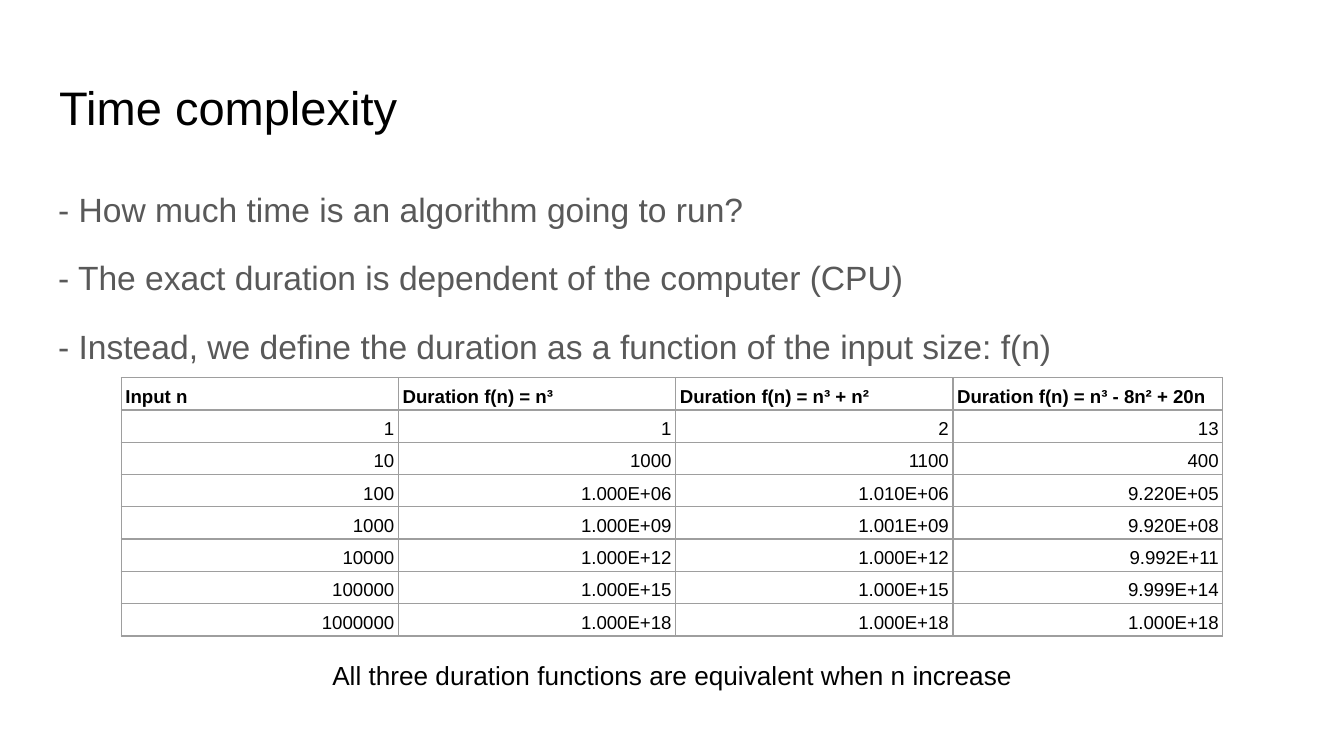
from lxml import etree
from pptx import Presentation
from pptx import util as u
from pptx.dml import color
from pptx.enum import text
from pptx.oxml import ns

COLOURS = {"ink": "000000", "body": "595959", "rule": "9E9E9E"}
FONT = "Arial"

POINTS = [
    "- How much time is an algorithm going to run?",
    "- The exact duration is dependent of the computer (CPU)",
    "- Instead, we define the duration as a function of the input size: f(n)",
]
HEADINGS = [
    "Input n",
    "Duration f(n) = n³",
    "Duration f(n) = n³ + n²",
    "Duration f(n) = n³ - 8n² + 20n",
]
DURATIONS = [
    lambda n: n**3,
    lambda n: n**3 + n**2,
    lambda n: n**3 - 8 * n**2 + 20 * n,
]
SIZES = [10**power for power in range(7)]


def write(para, words, size, colour="ink", bold=False, align=None, spacing=None, before=0):
    para.alignment = align
    para.line_spacing = spacing
    para.space_before = u.Pt(before)
    span = para.add_run()
    span.text = words
    span.font.name = FONT
    span.font.size = u.Pt(size)
    span.font.bold = bold
    span.font.color.rgb = color.RGBColor.from_string(COLOURS[colour])


def add_frame(page, box, anchor=text.MSO_ANCHOR.TOP):
    frame = page.shapes.add_textbox(*map(u.Cm, box)).text_frame
    frame.word_wrap = True
    frame.vertical_anchor = anchor
    frame.margin_left = frame.margin_right = u.Cm(0.25)
    frame.margin_top = frame.margin_bottom = u.Cm(0.25)
    return frame


def add_title(page, box):
    frame = add_frame(page, box)
    write(frame.paragraphs[0], "Time complexity", 25.2)


def add_points(page, box):
    frame = add_frame(page, box)
    frame.margin_left = u.Cm(0.23)
    for index, point in enumerate(POINTS):
        para = frame.add_paragraph() if index else frame.paragraphs[0]
        write(para, point, 18, colour="body", spacing=1.15, before=12 if index else 0)


def add_borders(cell):
    properties = cell._tc.get_or_add_tcPr()
    for index, side in enumerate(("lnL", "lnR", "lnT", "lnB")):
        line = etree.Element(ns.qn(f"a:{side}"), w=str(u.Pt(0.75)))
        fill = etree.SubElement(line, ns.qn("a:solidFill"))
        etree.SubElement(fill, ns.qn("a:srgbClr"), val=COLOURS["rule"])
        properties.insert(index, line)


def format_duration(n, duration):
    return str(duration) if n <= 10 else f"{duration:.3E}"


def add_durations(page, box):
    rows = [HEADINGS] + [
        [str(n)] + [format_duration(n, duration(n)) for duration in DURATIONS]
        for n in SIZES
    ]
    left, top, width, height = map(u.Cm, box)
    table = page.shapes.add_table(
        len(rows), len(HEADINGS), left, top, width, height
    ).table
    table.first_row = table.horz_banding = False
    wide = u.Cm(5.24)
    for column in table.columns:
        column.width = wide
    table.columns[3].width = width - 3 * wide
    for r, row in enumerate(rows):
        table.rows[r].height = height // len(rows)
        for c, words in enumerate(row):
            cell = table.cell(r, c)
            cell.fill.background()
            cell.vertical_anchor = text.MSO_ANCHOR.BOTTOM
            cell.margin_left = cell.margin_right = u.Cm(0.08)
            cell.margin_top = cell.margin_bottom = u.Cm(0.05)
            add_borders(cell)
            align = text.PP_ALIGN.RIGHT if r else text.PP_ALIGN.LEFT
            write(cell.text_frame.paragraphs[0], words, 10,
                  bold=r == 0, align=align, spacing=1.15)


def add_conclusion(page, box):
    frame = add_frame(page, box)
    write(frame.paragraphs[0],
          "All three duration functions are equivalent when n increase",
          14, align=text.PP_ALIGN.CENTER)


def main():
    deck = Presentation()
    deck.slide_width = u.Cm(25.4)
    deck.slide_height = u.Cm(14.29)
    page = deck.slides.add_slide(deck.slide_layouts[6])
    add_title(page, (0.87, 1.24, 23.67, 1.59))
    add_points(page, (0.87, 3.2, 23.67, 9.5))
    add_durations(page, (2.29, 7.14, 20.82, 4.88))
    add_conclusion(page, (2.26, 12.22, 20.9, 1.12))
    deck.save("out.pptx")


if __name__ == "__main__":
    main()
